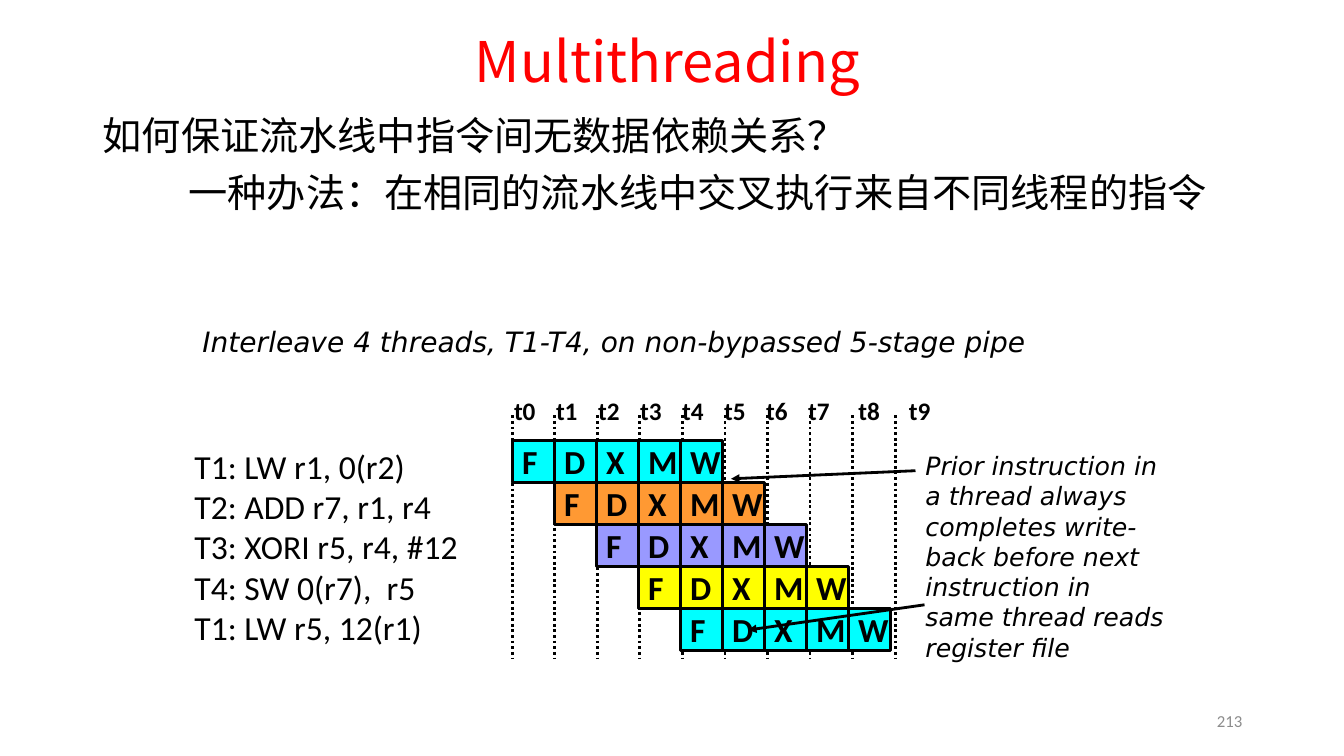
from lxml.etree import SubElement
from pptx import Presentation
from pptx.dml.color import RGBColor
from pptx.enum.dml import MSO_LINE
from pptx.enum.shapes import MSO_CONNECTOR, MSO_SHAPE
from pptx.enum.text import MSO_ANCHOR, PP_ALIGN
from pptx.oxml.ns import qn
from pptx.util import Inches, Pt

COLORS = {"title": "FF0000", "ink": "000000", "number": "8C8C8C", "T1": "00FFFF",
          "T2": "FF9933", "T3": "9999FF", "T4": "FFFF00"}
CELL = 5 / 12               # side of one pipeline stage, in inches
LEFT, TOP = 5.08, 4.37      # corner of the pipeline grid
STAGES = "FDXMW"
PROGRAM = ["T1: LW r1, 0(r2)", "T2: ADD r7, r1, r4", "T3: XORI r5, r4, #12",
           "T4: SW 0(r7),  r5", "T1: LW r5, 12(r1)"]
CJK = "Noto Sans CJK SC"


def write(sp, lines, size, font="Calibri", color="ink", bold=False, italic=False,
          align=PP_ALIGN.LEFT, anchor=MSO_ANCHOR.TOP, wrap=False, box=None):
    """Fill a shape with one paragraph per line; box is left, top, width, height in inches."""
    if box:
        sp.left, sp.top, sp.width, sp.height = map(Inches, box)
    tf = sp.text_frame
    tf.word_wrap, tf.vertical_anchor = wrap, anchor
    for i, line in enumerate(lines):
        p = tf.add_paragraph() if i else tf.paragraphs[0]
        p.alignment = align
        r = p.add_run()
        r.text = line
        r.font.size, r.font.name = Pt(size), font
        r.font.bold, r.font.italic = bold, italic
        r.font.color.rgb = RGBColor.from_string(COLORS[color])
        SubElement(r.font._element, qn("a:ea")).set("typeface", CJK)
    return tf


def add_line(x1, y1, x2, y2):
    line = s.shapes.add_connector(MSO_CONNECTOR.STRAIGHT, *map(Inches, (x1, y1, x2, y2)))
    line.line.color.rgb = RGBColor.from_string(COLORS["ink"])
    line.line.width = Pt(2)
    SubElement(line._element.spPr, qn("a:effectLst"))
    return line.line


prs = Presentation()
prs.slide_width, prs.slide_height = Inches(13.33), Inches(7.5)
s = prs.slides.add_slide(prs.slide_layouts[1])

# Title and body
tf = write(s.shapes.title, ["Multithreading"], 40, font=CJK, color="title", wrap=True,
           align=PP_ALIGN.CENTER, anchor=MSO_ANCHOR.MIDDLE, box=(0.87, 0.23, 11.5, 0.82))
tf.paragraphs[0].line_spacing = 0.9
tf = write(s.placeholders[1], ["如何保证流水线中指令间无数据依赖关系？",
                               "一种办法：在相同的流水线中交叉执行来自不同线程的指令"],
           28, wrap=True, box=(0.92, 1.11, 11.5, 1.29))
for p, margin, indent in zip(tf.paragraphs, (0.5, 0.85), (-0.5, 0)):
    p.line_spacing, p.space_before = 0.9, Pt(10)
    pPr = p._p.get_or_add_pPr()
    pPr.set("marL", str(Inches(margin)))
    pPr.set("indent", str(Inches(indent)))
    SubElement(pPr, qn("a:buNone"))

# Clock cycles: dotted rules and labels, the last two labels spaced wider
for i in range(10):
    x = LEFT + i * 0.422
    add_line(x, 4.12, x, 6.54).dash_style = MSO_LINE.ROUND_DOT
for i in range(10):
    x = 5 + i * CELL + max(0, i - 7) / 12
    write(s.shapes.add_textbox(0, 0, 0, 0), [f"t{i}"], 18, bold=True,
          box=(x, 3.87, CELL, 0.4))

# Pipeline: each instruction starts one cycle after the one above
for row, instruction in enumerate(PROGRAM):
    for col, stage in enumerate(STAGES, start=row):
        sp = s.shapes.add_shape(MSO_SHAPE.RECTANGLE, 0, 0, 0, 0)
        sp.shadow.inherit = False
        sp.fill.solid()
        sp.fill.fore_color.rgb = RGBColor.from_string(COLORS[instruction[:2]])
        sp.line.color.rgb = RGBColor.from_string(COLORS["ink"])
        sp.line.width = Pt(2)
        write(sp, [stage], 24, bold=True, anchor=MSO_ANCHOR.MIDDLE,
              box=(LEFT + col * CELL, TOP + row * CELL, CELL, CELL))

# Program listing, caption, remark and slide number
write(s.shapes.add_textbox(0, 0, 0, 0), PROGRAM, 24, box=(1.83, TOP, 2.84, 2.12))
write(s.shapes.add_textbox(0, 0, 0, 0),
      ["Interleave 4 threads, T1-T4, on non-bypassed 5-stage pipe"],
      20, font="DejaVu Sans", italic=True, box=(1.91, 3.17, 8.51, 0.43))
write(s.shapes.add_textbox(0, 0, 0, 0),
      ["Prior instruction in a thread always completes write-back before next "
       "instruction in same thread reads register file"],
      18, font="DejaVu Sans", italic=True, wrap=True, box=(9.08, 4.42, 2.58, 2.2))
write(s.shapes.add_textbox(0, 0, 0, 0), ["213"], 12, color="number", wrap=True,
      align=PP_ALIGN.RIGHT, anchor=MSO_ANCHOR.MIDDLE, box=(9.42, 6.95, 3, 0.4))

# Arrows from the remark to the write-back and the later register read
for ends in ((9.08, 4.67, 7.25, 4.75), (9.17, 6, 7.42, 6.25)):
    ln = add_line(*ends)._get_or_add_ln()
    SubElement(ln, qn("a:tailEnd")).set("type", "triangle")

prs.save("out.pptx")
